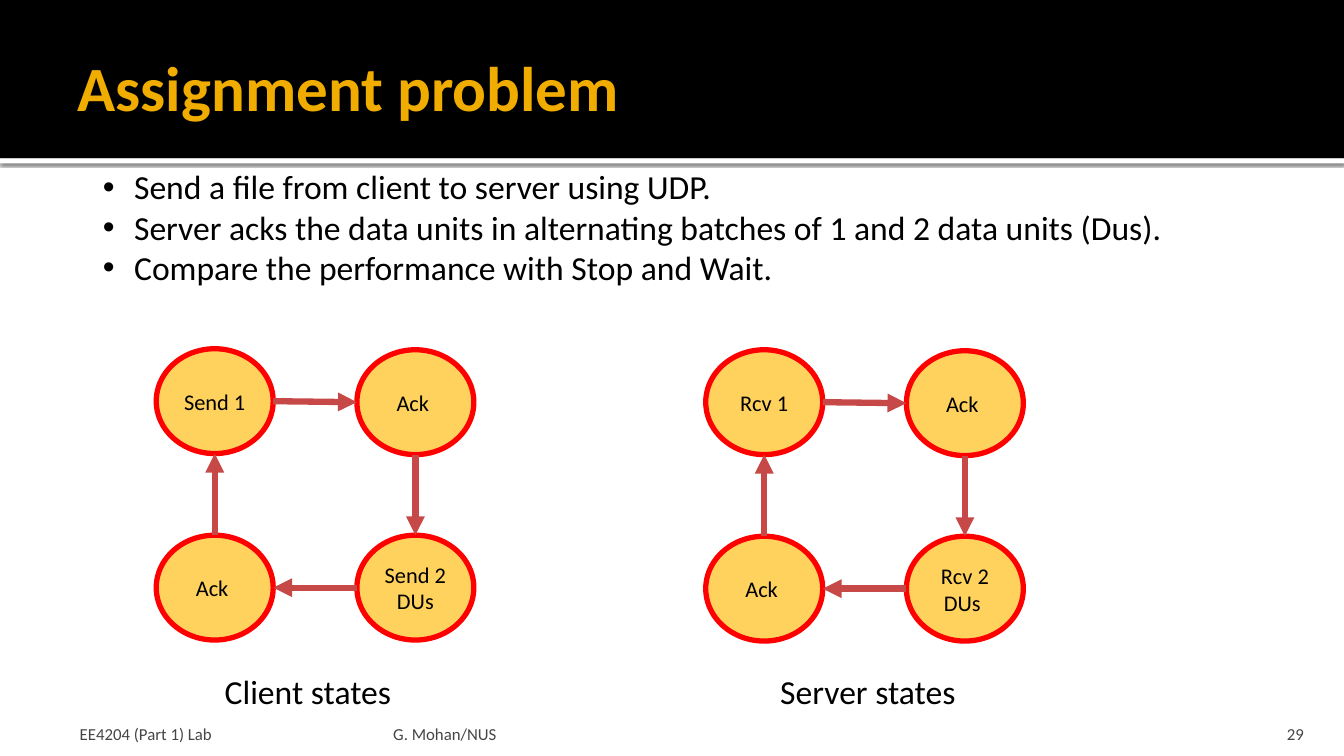
import pptx
import pptx.util
import pptx.dml.color
import pptx.enum.shapes
import pptx.enum.text
import pptx.oxml
import pptx.oxml.ns
import lxml.etree

Inches = pptx.util.Inches
Kind = pptx.enum.shapes.MSO_SHAPE
Align = pptx.enum.text.PP_ALIGN
Anchor = pptx.enum.text.MSO_ANCHOR
qn = pptx.oxml.ns.qn


def tint(code):
    return pptx.dml.color.RGBColor.from_string(code)


def write(shape, text, size=24, color="000000", bold=False, align=Align.LEFT,
          anchor=Anchor.TOP, inset=(0.1, 0.05, 0.1, 0.05), hang=0):
    frame = shape.text_frame
    frame.word_wrap = True
    frame.auto_size = pptx.enum.text.MSO_AUTO_SIZE.NONE
    frame.vertical_anchor = anchor
    (frame.margin_left, frame.margin_top,
     frame.margin_right, frame.margin_bottom) = map(Inches, inset)
    frame.text = text
    for para in frame.paragraphs:
        para.alignment = align
        para.space_before = pptx.util.Pt(0)
        if hang:
            props = para._p.get_or_add_pPr()
            props.set("marL", str(Inches(hang)))
            props.set("indent", str(-Inches(hang)))
        for run in para.runs:
            run.font.name = "Calibri"
            run.font.size = pptx.util.Pt(size)
            run.font.bold = bold
            run.font.color.rgb = tint(color)


deck = pptx.Presentation()
deck.slide_width, deck.slide_height = Inches(13.33), Inches(7.5)
slide = deck.slides.add_slide(deck.slide_layouts[1])
shapes = slide.shapes
title, body = slide.placeholders

# Header band over a white strip
bands = []
for top, high, fill in [(1.57, 0.05, "FFFFFF"), (0, 1.57, "000000")]:
    band = shapes.add_shape(Kind.RECTANGLE, 0, Inches(top), deck.slide_width, Inches(high))
    band.shadow.inherit = False
    band.fill.solid()
    band.fill.fore_color.rgb = tint(fill)
    band.line.fill.background()
    bands.append(band)

# Soft shadow below the strip
glow = bands[0]._element.spPr.find(qn("a:effectLst"))
glow.append(pptx.oxml.parse_xml(
    '<a:outerShdw xmlns:a="http://schemas.openxmlformats.org/drawingml/2006/main" '
    'blurRad="31750" dist="10160" dir="5400000" algn="tl" rotWithShape="0">'
    '<a:srgbClr val="000000"><a:alpha val="60000"/></a:srgbClr></a:outerShdw>'))

# Bands go behind the placeholders
for band in reversed(bands):
    shapes._spTree.insert(2, band._element)

# Title and list
title.left, title.top, title.width, title.height = map(Inches, (0.67, 0.17, 12, 1.37))
write(title, "Assignment problem", size=45, color="F0AD00", bold=True,
      anchor=Anchor.MIDDLE, inset=(0.1, 0.05, 0.05, 0.05))
body.left, body.top, body.width, body.height = map(Inches, (0.92, 1.6, 11.24, 1.72))
write(body, "Send a file from client to server using UDP.\n"
      "Server acks the data units in alternating batches of 1 and 2 data units (Dus).\n"
      "Compare the performance with Stop and Wait.", hang=0.31)

# Footer
for left, width, text, align, pad in [
        (0.67, 3.11, "EE4204 (Part 1) Lab", Align.LEFT, (0.12, 0.05)),
        (3.85, 8.03, "G. Mohan/NUS", Align.LEFT, (0.05, 0.05)),
        (11.96, 1.07, "29", Align.RIGHT, (0.1, 0.1))]:
    box = shapes.add_textbox(Inches(left), Inches(7.08), Inches(width), Inches(0.3))
    write(box, text, size=12, color="454545", align=align, anchor=Anchor.BOTTOM,
          inset=(pad[0], 0.05, pad[1], 0))

# State cycles: clockwise from top left
wide, high = 1.16, 1.04
step, drop, tilt = 1.99, 1.85, 0.01
cycles = [
    (1.55, 3.46, ["Send 1", "Ack ", "Send 2 DUs", "Ack "], "Client states", 2.13),
    (7, 3.47, ["Rcv 1", "Ack ", "Rcv 2 DUs ", "Ack "], "Server states", 7.64)]
for left, top, names, label, start in cycles:
    right, low = left + step, top + drop
    spots = [(left, top), (right, top + tilt), (right, low), (left, low)]
    for (x, y), name in zip(spots, names):
        state = shapes.add_shape(Kind.OVAL, Inches(x), Inches(y), Inches(wide), Inches(high))
        state.shadow.inherit = False
        state.fill.solid()
        state.fill.fore_color.rgb = tint("FFD25D")
        state.line.color.rgb = tint("FF0000")
        state.line.width = pptx.util.Pt(3.78)
        write(state, name, size=16, align=Align.CENTER, anchor=Anchor.MIDDLE)

    # Arrows from each state to the next
    midx, midy = wide / 2, high / 2
    ends = [
        (left + wide, top + midy, right, top + tilt + midy),
        (right + midx, top + tilt + high, right + midx, low),
        (right, low + midy, left + wide, low + midy),
        (left + midx, low, left + midx, top + high)]
    for points in ends:
        arrow = shapes.add_connector(
            pptx.enum.shapes.MSO_CONNECTOR.STRAIGHT, *map(Inches, points))
        arrow.line.color.rgb = tint("C64847")
        arrow.line.width = pptx.util.Pt(4.5)
        props = arrow._element.spPr
        lxml.etree.SubElement(props.find(qn("a:ln")), qn("a:tailEnd"), type="triangle")
        lxml.etree.SubElement(props, qn("a:effectLst"))

    # Caption
    box = shapes.add_textbox(Inches(start), Inches(6.61), Inches(2.52), Inches(0.5))
    write(box, label)

deck.save("out.pptx")
